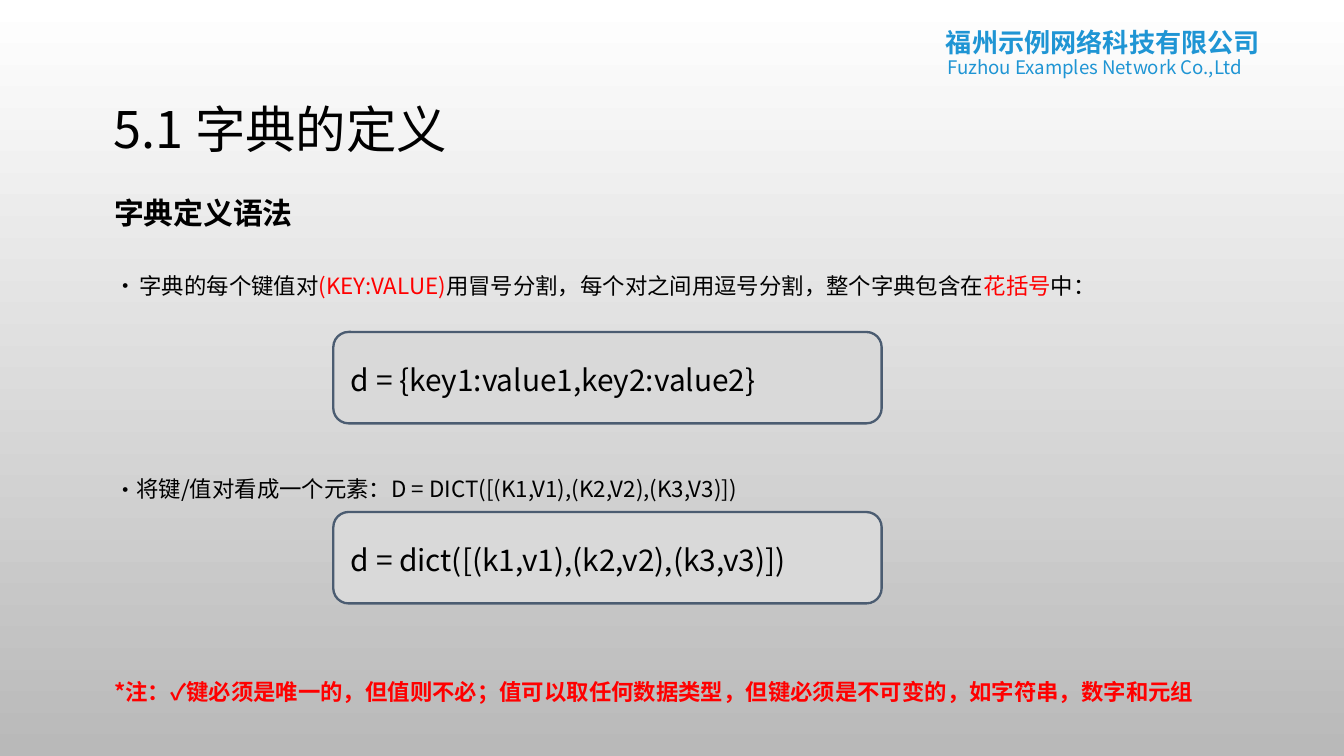
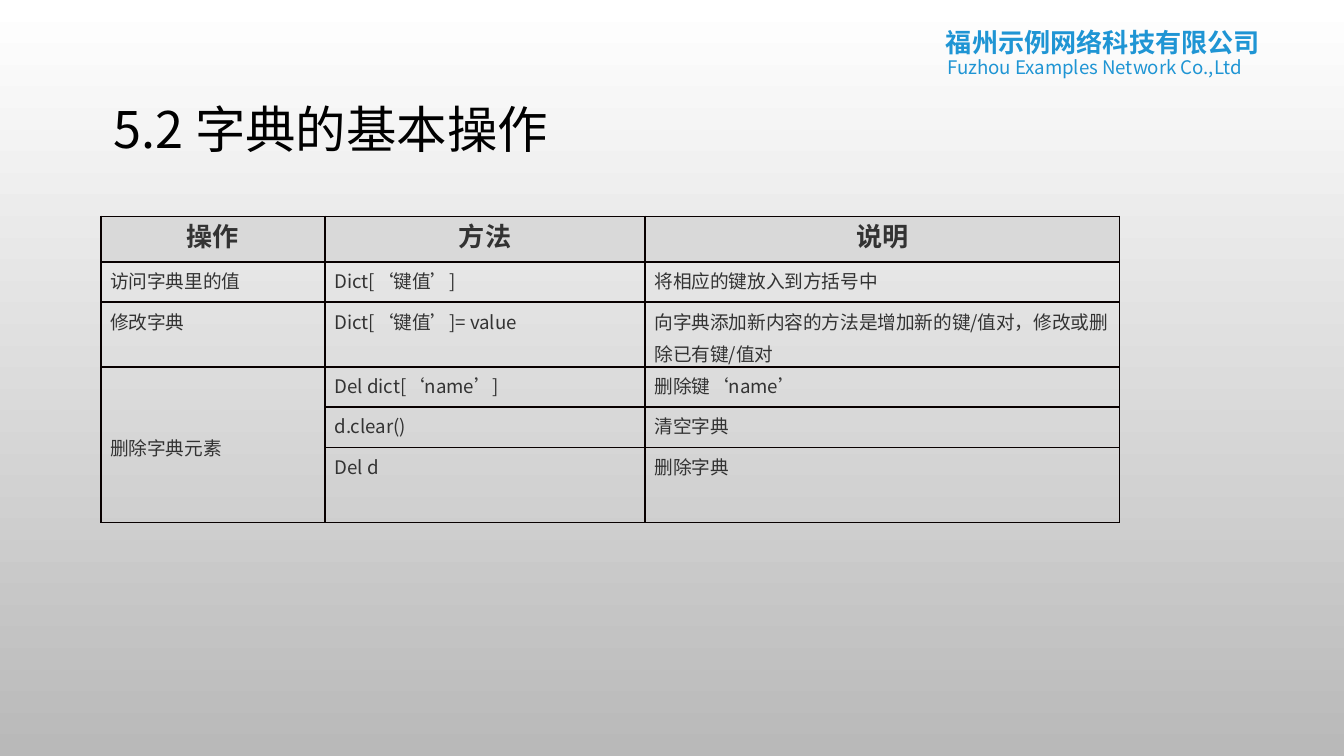
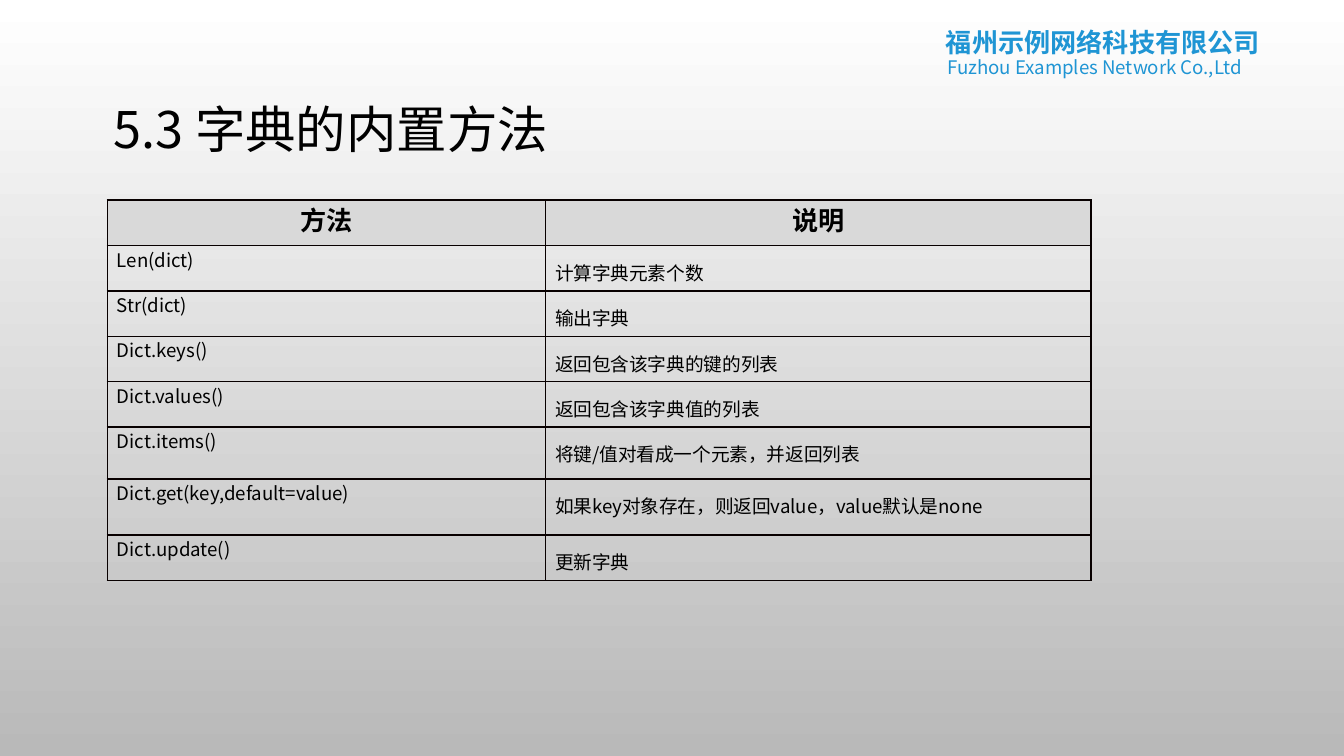
from lxml.etree import SubElement
from pptx import Presentation
from pptx.dml.color import RGBColor
from pptx.enum.shapes import MSO_SHAPE
from pptx.enum.text import MSO_ANCHOR, PP_ALIGN
from pptx.oxml import parse_xml
from pptx.oxml.ns import qn
from pptx.util import Inches, Pt

FONT = "Noto Sans CJK SC"
BLACK, RED, BLUE, DARK, GRAY = "000000", "FF0000", "1F95D4", "333333", "D9D9D9"
TITLES = ["5.1 字典的定义", "5.2 字典的基本操作", "5.3 字典的内置方法"]
A_NS = "http://schemas.openxmlformats.org/drawingml/2006/main"
BORDER = (
    '<a:{side} xmlns:a="' + A_NS + '" w="12700"><a:solidFill>'
    '<a:srgbClr val="080000"/></a:solidFill></a:{side}>'
)


def add_run(p, text, size, color=BLACK, bold=False):
    r = p.add_run()
    r.text = text
    r.font.size = Pt(size)
    r.font.bold = bold
    r.font.name = FONT
    r.font.color.rgb = RGBColor.from_string(color)
    SubElement(r.font._element, qn("a:ea"), typeface=FONT)


def add_text_frame(s, left, top, width, height):
    """Add a wrapping text box and return its text frame."""
    box = s.shapes.add_textbox(Inches(left), Inches(top), Inches(width), Inches(height))
    box.text_frame.word_wrap = True
    return box.text_frame


prs = Presentation()
prs.slide_width = Inches(10)
prs.slide_height = Inches(10) * 9 // 16

# Background, company header and title of every slide
for title in TITLES:
    s = prs.slides.add_slide(prs.slide_layouts[6])
    fill = s.background.fill
    fill.gradient()
    fill.gradient_angle = 270
    for stop, color in zip(fill.gradient_stops, ["FFFFFF", "B9B9B9"]):
        stop.color.rgb = RGBColor.from_string(color)

    for left, top, width, height, text, size, bold in [
        (6.94, 0.15, 2.67, 0.34, "福州示例网络科技有限公司", 14, True),
        (6.95, 0.37, 2.66, 0.27, "Fuzhou Examples Network Co.,Ltd", 10, False),
    ]:
        p = add_text_frame(s, left, top, width, height).paragraphs[0]
        p.alignment = PP_ALIGN.JUSTIFY
        add_run(p, text, size, BLUE, bold)

    tf = add_text_frame(s, 0.75, 0.67, 8.5, 0.62)
    tf.vertical_anchor = MSO_ANCHOR.MIDDLE
    tf.paragraphs[0].line_spacing = 0.9
    add_run(tf.paragraphs[0], title, 27)

syntax_slide, operations_slide, methods_slide = prs.slides

# 5.1: syntax rules, as (space before, bullet indent, size, bold, runs)
rules = [
    (0, 0, 16, True, [("字典定义语法", BLACK)]),
    (22, 0.19, 12, False, [
        ("字典的每个键值对", BLACK),
        ("(KEY:VALUE)", RED),
        ("用冒号分割，每个对之间用逗号分割，整个字典包含在", BLACK),
        ("花括号", RED),
        ("中：", BLACK),
    ]),
    (94.5, 0.05, 12, False, [
        ("将键/值对看成一个元素：D = DICT([(K1,V1),(K2,V2),(K3,V3)])", BLACK),
    ]),
    (94.5, 0, 12, True, [
        ("*注：✓键必须是唯一的，但值则不必；值可以取任何数据类型，"
         "但键必须是不可变的，如字符串，数字和元组", RED),
    ]),
]
tf = add_text_frame(syntax_slide, 0.75, 1.13, 9.25, 4.71)
tf.margin_top = Inches(0.32)
for i, (space, indent, size, bold, runs) in enumerate(rules):
    p = tf.add_paragraph() if i else tf.paragraphs[0]
    p.space_before = Pt(space)
    if indent:
        pPr = p._p.get_or_add_pPr()
        pPr.set("marL", str(Inches(indent)))
        pPr.set("indent", str(-Inches(indent)))
        SubElement(pPr, qn("a:buFont"), typeface=FONT)
        SubElement(pPr, qn("a:buChar"), char="•")
    for text, color in runs:
        add_run(p, text, size, color, bold)

for top, code in [
    (2.47, "d = {key1:value1,key2:value2}"),
    (3.81, "d = dict([(k1,v1),(k2,v2),(k3,v3)])"),
]:
    sp = syntax_slide.shapes.add_shape(
        MSO_SHAPE.ROUNDED_RECTANGLE, Inches(2.48), Inches(top), Inches(4.08), Inches(0.68)
    )
    sp.shadow.inherit = False
    sp.fill.solid()
    sp.fill.fore_color.rgb = RGBColor.from_string(GRAY)
    sp.line.color.rgb = RGBColor.from_string("4B5C71")
    sp.line.width = Pt(1.25)
    tf = sp.text_frame
    tf.margin_top, tf.margin_bottom = 0, Inches(0.11)
    p = tf.paragraphs[0]
    p.alignment = PP_ALIGN.LEFT
    p.line_spacing = 1.5
    add_run(p, code, 16)

# 5.2 and 5.3: tables
operations = [
    ("操作", "方法", "说明"),
    ("访问字典里的值", "Dict[‘键值’]", "将相应的键放入到方括号中"),
    ("修改字典", "Dict[‘键值’]= value",
     "向字典添加新内容的方法是增加新的键/值对，修改或删除已有键/值对"),
    ("删除字典元素", "Del dict[‘name’]", "删除键‘name’"),
    ("", "d.clear()", "清空字典"),
    ("", "Del d", "删除字典"),
]
methods = [
    ("方法", "说明"),
    ("Len(dict)", "计算字典元素个数"),
    ("Str(dict)", "输出字典"),
    ("Dict.keys()", "返回包含该字典的键的列表"),
    ("Dict.values()", "返回包含该字典值的列表"),
    ("Dict.items()", "将键/值对看成一个元素，并返回列表"),
    ("Dict.get(key,default=value)", "如果key对象存在，则返回value，value默认是none"),
    ("Dict.update()", "更新字典"),
]
# slide, data, left, top, height, column widths, relative row heights,
# text colour, line spacing by column
tables = [
    (operations_slide, operations, 0.75, 1.61, 2.28, [1.67, 2.38, 3.53],
     [0.34, 0.3, 0.48, 0.3, 0.3, 0.56], DARK, [1.2, 1.2, 1.2]),
    (methods_slide, methods, 0.8, 1.49, 2.83, [3.26, 4.06],
     [0.34] * 5 + [0.39, 0.42, 0.34], BLACK, [1.0, 1.5]),
]
for s, data, left, top, height, widths, shares, color, spacings in tables:
    table = s.shapes.add_table(
        len(data), len(widths), Inches(left), Inches(top),
        Inches(sum(widths)), Inches(height),
    ).table
    table.first_row = table.horz_banding = False
    for column, width in zip(table.columns, widths):
        column.width = Inches(width)
    for i, (row, share) in enumerate(zip(table.rows, shares)):
        row.height = Inches(height * share / sum(shares))
        for j, cell in enumerate(row.cells):
            cell.margin_left = cell.margin_right = Inches(0.07)
            cell.margin_top = cell.margin_bottom = 0
            p = cell.text_frame.paragraphs[0]
            if i == 0:
                cell.fill.solid()
                cell.fill.fore_color.rgb = RGBColor.from_string(GRAY)
                p.alignment = PP_ALIGN.CENTER
                add_run(p, data[i][j], 14, color, True)
            else:
                cell.fill.background()
                p.line_spacing = spacings[j]
                if data[i][j]:
                    add_run(p, data[i][j], 10, color)
            tcPr = cell._tc.get_or_add_tcPr()
            for k, side in enumerate(["lnL", "lnR", "lnT", "lnB"]):
                tcPr.insert(k, parse_xml(BORDER.format(side=side)))
    if s is operations_slide:
        table.cell(3, 0).merge(table.cell(5, 0))
        table.cell(3, 0).vertical_anchor = MSO_ANCHOR.MIDDLE

prs.save("out.pptx")
